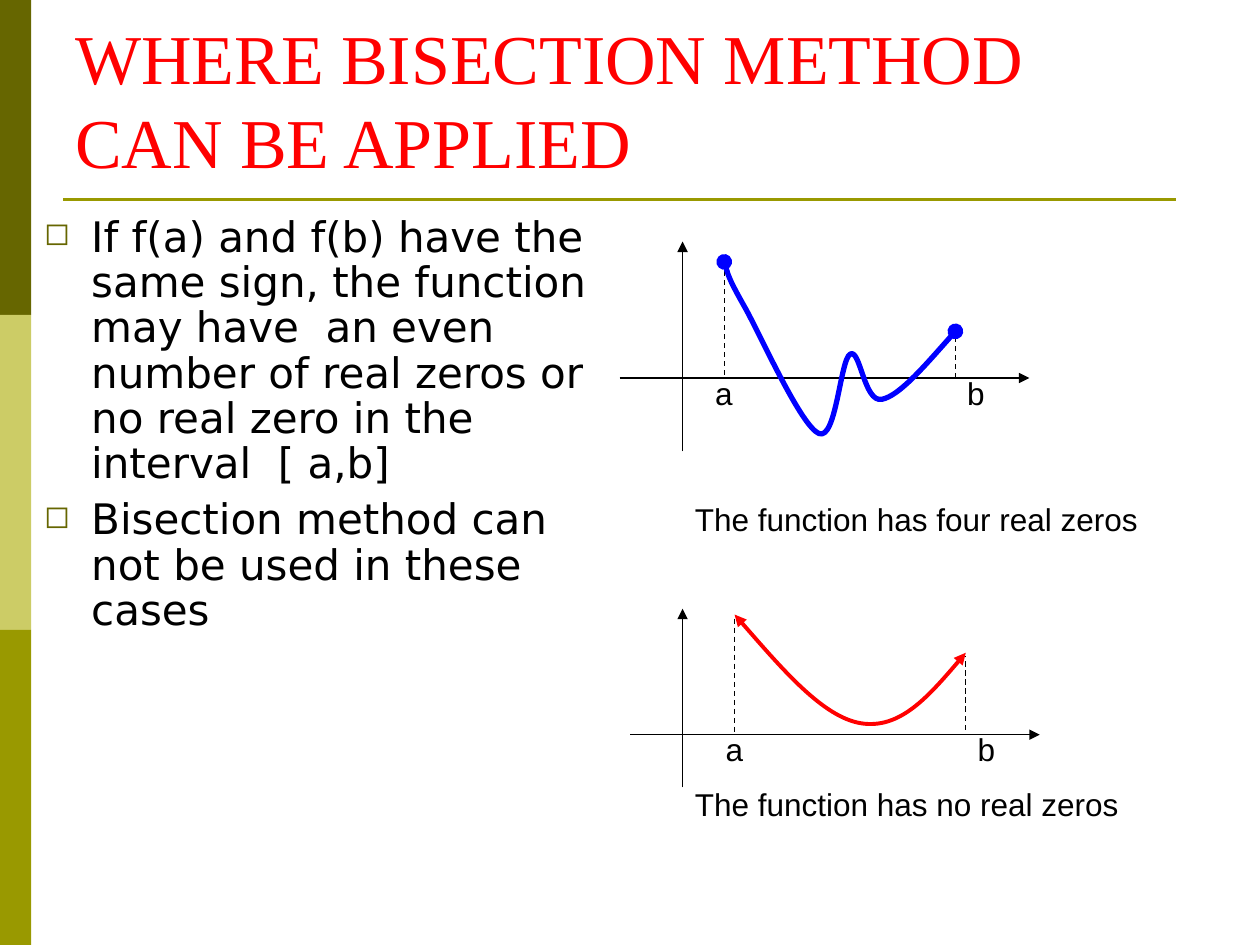
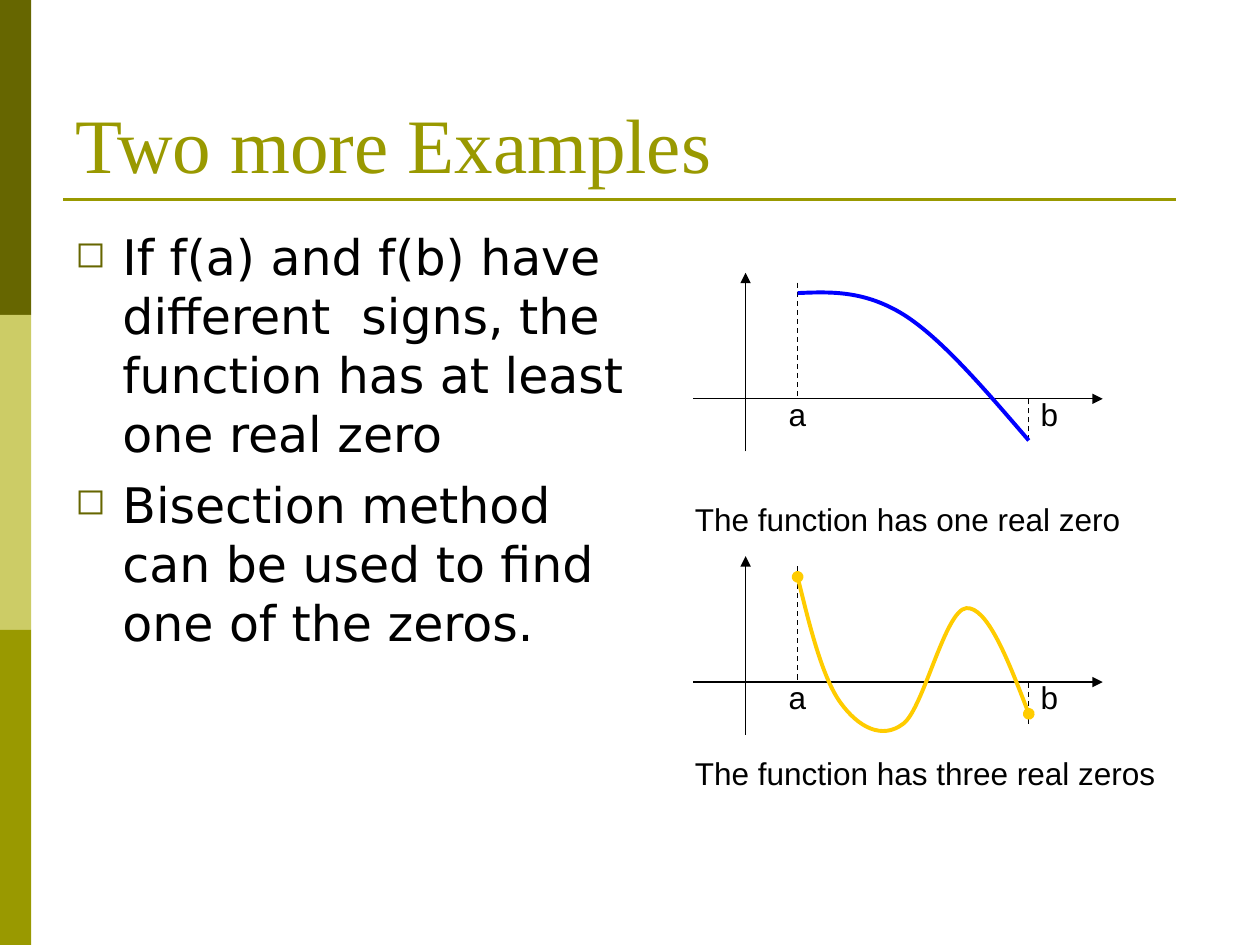
import dataclasses

import pptx
import pptx.dml.color
import pptx.enum.dml
import pptx.enum.shapes
import pptx.enum.text
import pptx.oxml
import pptx.oxml.ns
import pptx.util
from lxml import etree

Cm = pptx.util.Cm
Pt = pptx.util.Pt
qn = pptx.oxml.ns.qn
Alignment = pptx.enum.text.PP_ALIGN
Anchor = pptx.enum.text.MSO_ANCHOR


@dataclasses.dataclass(frozen=True)
class Theme:
    """Colours, fonts and sizes shared by the slides."""
    dark_olive: str = "666600"
    light_olive: str = "CCCC66"
    olive: str = "999900"
    black: str = "000000"
    red: str = "FF0000"
    blue: str = "0000FF"
    yellow: str = "FFCC00"
    title_font: str = "Times New Roman"
    body_font: str = "DejaVu Sans"
    label_font: str = "Arial"
    label_size: float = 18
    thin: float = 0.75
    rule: float = 1.5
    bold_curve: float = 3
    curve: float = 2.25


THEME = Theme()
AXIS_LENGTH = 8.26
INTERVAL = 4.66


@dataclasses.dataclass(frozen=True)
class Graph:
    """A function plot; curve points are measured from a on the x axis, y upwards."""
    origin: tuple
    caption: str
    caption_offset: tuple
    color: str
    curve: list
    guide_b: tuple
    guide_a: tuple = (2.34, 0)
    left_arm: float = 1.06
    up: float = 2.54
    down: float = 1.06
    a: float = 1.05
    width: float = THEME.curve
    ends: str = ""
    caption_width: float = 9.53


def rgb(color):
    """Turn a hex string into a colour."""
    return pptx.dml.color.RGBColor.from_string(color)


def style_line(shape, color, width, dashed=False, head="", tail=""):
    """Set colour, width, dashes and line ends of an outline."""
    shape.line.color.rgb = rgb(color)
    shape.line.width = Pt(width)
    if dashed:
        shape.line.dash_style = pptx.enum.dml.MSO_LINE.DASH
    outline = shape.element.spPr.find(qn("a:ln"))
    for tag, kind in (("a:headEnd", head), ("a:tailEnd", tail)):
        if kind:
            etree.SubElement(outline, qn(tag), type=kind)


def add_line(slide, start, end, color=THEME.black, width=THEME.thin, **style):
    """Draw a straight line between two points in centimetres."""
    connector = slide.shapes.add_connector(
        pptx.enum.shapes.MSO_CONNECTOR.STRAIGHT, *map(Cm, (*start, *end)))
    style_line(connector, color, width, **style)
    etree.SubElement(connector.element.spPr, qn("a:effectLst"))


def add_text(slide, box, texts, font, size, color=THEME.black,
             alignment=Alignment.LEFT, anchor=Anchor.TOP, spacing=1.0, bullets=False):
    """Add a wrapping text box with one paragraph per text."""
    frame = slide.shapes.add_textbox(*map(Cm, box)).text_frame
    frame.word_wrap = True
    frame.vertical_anchor = anchor
    for index, text in enumerate(texts):
        paragraph = frame.add_paragraph() if index else frame.paragraphs[0]
        if bullets:
            add_bullet(paragraph)
        paragraph.alignment = alignment
        paragraph.line_spacing = spacing
        if index:
            paragraph.space_before = Pt(size / 4)
        run = paragraph.add_run()
        run.text = text
        run.font.name = font
        run.font.size = Pt(size)
        run.font.color.rgb = rgb(color)


def add_bullet(paragraph):
    """Give a paragraph a hanging square bullet."""
    properties = paragraph._p.get_or_add_pPr()
    properties.set("marL", str(Cm(0.95)))
    properties.set("indent", str(-Cm(0.95)))
    bullet_color = etree.SubElement(properties, qn("a:buClr"))
    etree.SubElement(bullet_color, qn("a:srgbClr"), val=THEME.dark_olive)
    etree.SubElement(properties, qn("a:buSzPct"), val="75000")
    etree.SubElement(properties, qn("a:buChar"), char="◻")


def add_frame(slide):
    """Draw the side bands and the rule under the title."""
    band_height = 6.35
    for index, color in enumerate((THEME.dark_olive, THEME.light_olive, THEME.olive)):
        band = slide.shapes.add_shape(
            pptx.enum.shapes.MSO_SHAPE.RECTANGLE,
            0, Cm(index * band_height), Cm(0.63), Cm(band_height))
        band.shadow.inherit = False
        band.fill.solid()
        band.fill.fore_color.rgb = rgb(color)
        band.line.fill.background()
    add_line(slide, (1.27, 4.02), (23.7, 4.02), THEME.olive, THEME.rule)


def bend_segments(shape):
    """Turn each three straight segments of an outline into one cubic curve."""
    segments = list(shape.element.spPr.iter(qn("a:lnTo")))
    for first in range(0, len(segments), 3):
        group = segments[first:first + 3]
        cubic = etree.Element(qn("a:cubicBezTo"))
        group[0].addprevious(cubic)
        for segment in group:
            cubic.append(segment[0])
            segment.getparent().remove(segment)


def add_curve(slide, left, base, graph):
    """Draw the function as an open curved outline."""
    start, *rest = [(Cm(left + x), Cm(base - y)) for x, y in graph.curve]
    builder = slide.shapes.build_freeform(*start)
    builder.add_line_segments(rest, close=False)
    curve = builder.convert_to_shape()
    bend_segments(curve)
    curve.shadow.inherit = False
    curve.fill.background()
    style_line(curve, graph.color, graph.width, head=graph.ends, tail=graph.ends)


def add_graph(slide, graph):
    """Draw axes, guides, labels, curve and caption around the graph's origin."""
    x, y = graph.origin
    axis_start = x - graph.left_arm
    add_line(slide, (axis_start, y), (axis_start + AXIS_LENGTH, y), tail="triangle")
    add_line(slide, (x, y + graph.down), (x, y - graph.up), tail="triangle")
    a = x + graph.a
    b = a + INTERVAL
    for name, position, guide, shift in (("a", a, graph.guide_a, -1.06),
                                         ("b", b, graph.guide_b, -0.64)):
        add_line(slide, (position, y - guide[0]), (position, y - guide[1]), dashed=True)
        add_text(slide, (position + shift, y - 0.21, 1.48, 1.02), [name],
                 THEME.label_font, THEME.label_size, alignment=Alignment.RIGHT)
    add_curve(slide, a, y, graph)
    across, below = graph.caption_offset
    add_text(slide, (x + across, y + below, graph.caption_width, 1.02),
             [graph.caption], THEME.label_font, THEME.label_size)


def add_example_slide(presentation, title, body, graphs):
    """Add a slide with a title, bullets on the left and graphs on the right."""
    slide = presentation.slides.add_slide(presentation.slide_layouts[6])
    add_frame(slide)
    add_text(slide, font=THEME.title_font, anchor=Anchor.BOTTOM, **title)
    add_text(slide, font=THEME.body_font, bullets=True, **body)
    for graph in graphs:
        add_graph(slide, graph)


FOUR_ZEROS = Graph(
    origin=(13.76, 7.62), caption="The function has four real zeros",
    caption_offset=(0, 2.34), color=THEME.blue, width=THEME.bold_curve, ends="oval",
    left_arm=1.27, up=2.75, down=1.48, a=0.84, guide_b=(0, 0.84),
    curve=[(0, 2.34), (0.05, 2.16), (0.1, 1.98), (0.43, 1.4),
           (0.74, 0.84), (1.55, -0.97), (1.91, -1.12),
           (2.26, -1.27), (2.34, 0.38), (2.54, 0.48),
           (2.74, 0.61), (2.82, -0.51), (3.18, -0.43),
           (3.53, -0.36), (4.09, 0.3), (4.66, 0.94)])

NO_ZEROS = Graph(
    origin=(13.76, 14.81), caption="The function has no real zeros",
    caption_offset=(0, 0.89), color=THEME.red, ends="triangle", guide_b=(0.1, 1.58),
    curve=[(0, 2.42), (0.89, 1.4), (1.78, 0.36), (2.54, 0.23),
           (3.33, 0.1), (3.99, 0.86), (4.66, 1.65)])

ONE_ZERO = Graph(
    origin=(15.03, 8.04), caption="The function has one real zero",
    caption_offset=(-1.27, 1.92), color=THEME.blue, guide_b=(-0.84, 0),
    curve=[(0, 2.13), (0.69, 2.16), (1.35, 2.18), (2.13, 1.7),
           (2.9, 1.22), (3.78, 0.18), (4.66, -0.84)])

THREE_ZEROS = Graph(
    origin=(15.03, 13.75), caption="The function has three real zeros",
    caption_offset=(-1.27, 1.32), caption_width=9.95, color=THEME.yellow,
    ends="oval", guide_b=(-0.84, 0),
    curve=[(0, 2.12), (0.25, 1.09), (0.51, 0.08), (0.86, -0.41),
           (1.22, -0.91), (1.7, -1.17), (2.13, -0.84),
           (2.54, -0.53), (2.97, 1.45), (3.4, 1.49),
           (3.81, 1.52), (4.24, 0.46), (4.66, -0.64)])


def main():
    """Build and save the presentation."""
    presentation = pptx.Presentation()
    presentation.slide_width = Cm(25.4)
    presentation.slide_height = Cm(19.05)
    add_example_slide(
        presentation,
        title=dict(box=(1.27, 0.84, 22.86, 2.97), size=40, color=THEME.red,
                   texts=["WHERE BISECTION METHOD CAN BE APPLIED"]),
        body=dict(box=(0.64, 4.23, 12.07, 11), size=24, spacing=0.9, texts=[
            "If f(a) and f(b) have the same sign, the function may have  an even "
            "number of real zeros or no real zero in the interval  [ a,b]",
            "Bisection method can not be used in these cases"]),
        graphs=[FOUR_ZEROS, NO_ZEROS])
    add_example_slide(
        presentation,
        title=dict(box=(1.27, 0.76, 22.86, 3.18), size=44, color=THEME.olive,
                   texts=["Two more Examples"]),
        body=dict(box=(1.27, 4.45, 12.07, 11), size=28, texts=[
            "If f(a) and f(b) have  different  signs, the function has at least one "
            "real zero",
            "Bisection method can be used to find one of the zeros."]),
        graphs=[ONE_ZERO, THREE_ZEROS])
    presentation.save("out.pptx")


if __name__ == "__main__":
    main()
